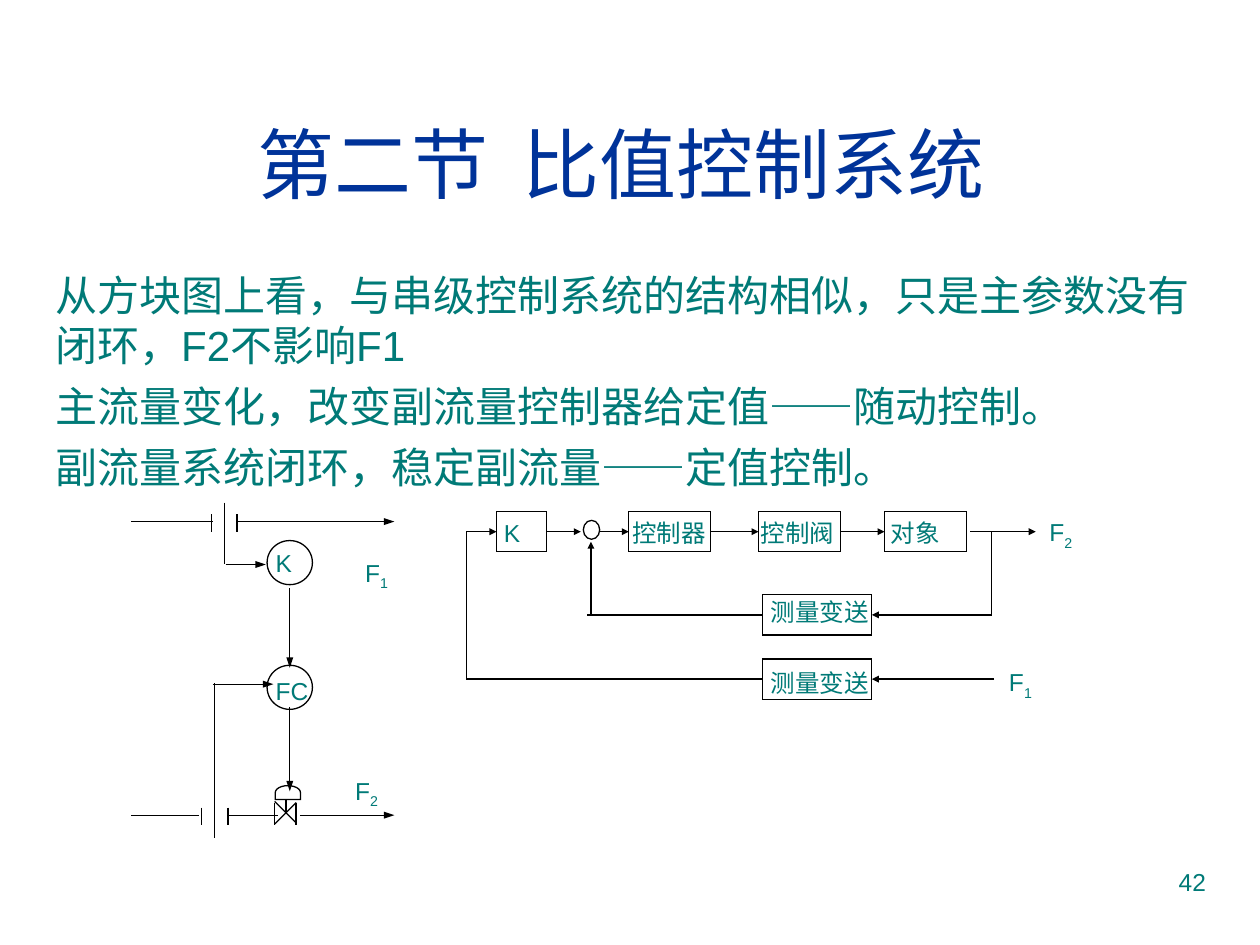
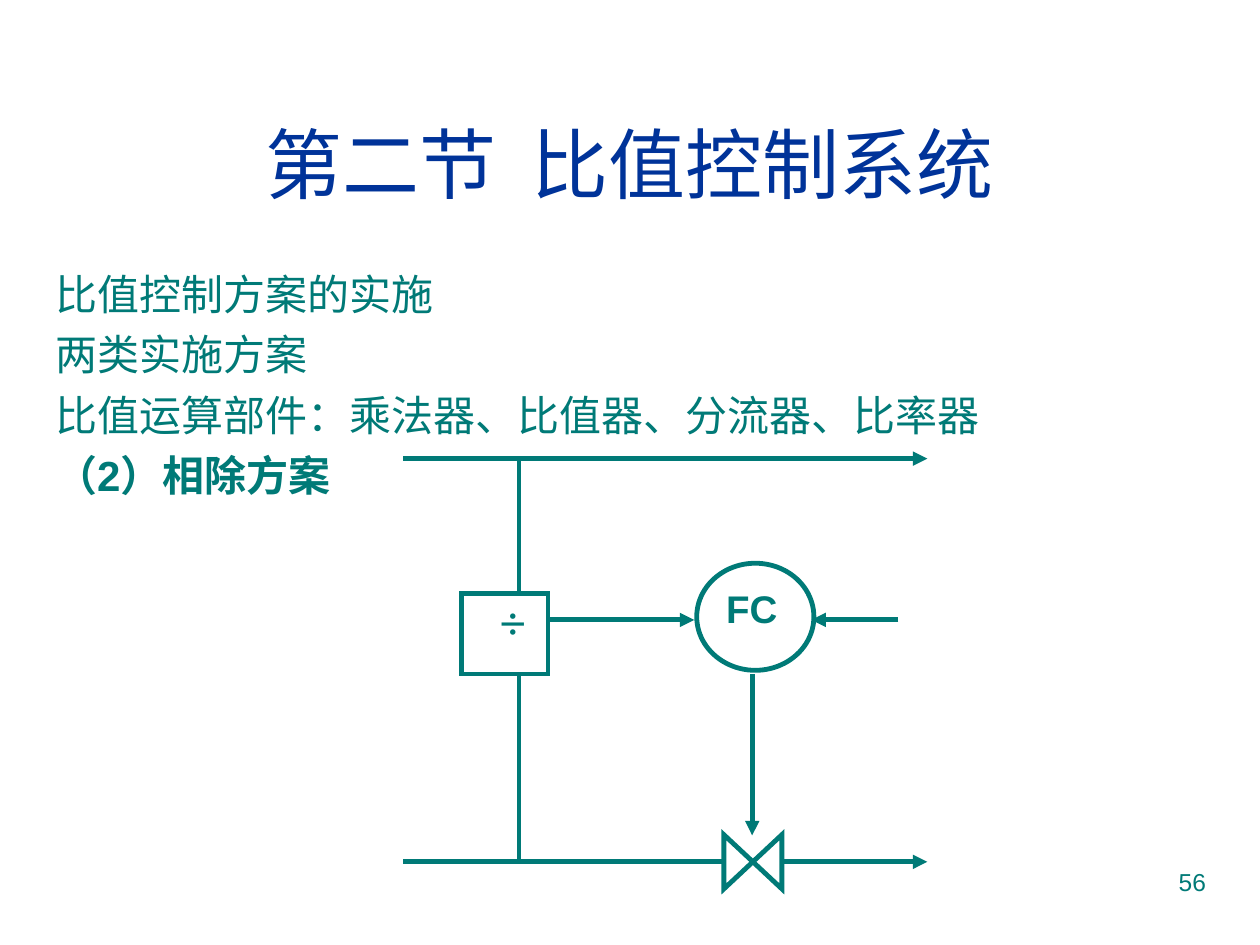
from lxml.etree import SubElement
from pptx import Presentation
from pptx.dml.color import RGBColor
from pptx.enum.shapes import MSO_CONNECTOR, MSO_SHAPE
from pptx.enum.text import MSO_ANCHOR, PP_ALIGN
from pptx.oxml.ns import qn
from pptx.util import Inches, Pt

TEAL, NAVY, BLACK, WHITE = "007A77", "003399", "000000", "FFFFFF"
LATIN, CJK = "Arial", "Noto Sans CJK SC"
BOX_H = 0.32
BLOCK_DIAGRAM_LEFT = 3.5


def color(fmt, value):
    fmt.rgb = RGBColor.from_string(value)


def write(tf, lines, size, hue=TEAL, align=PP_ALIGN.LEFT, bold=(), font=LATIN, pitch=1.2):
    tf.word_wrap = True
    for i, line in enumerate(lines):
        p = tf.add_paragraph() if i else tf.paragraphs[0]
        p.alignment = align
        p.space_before = Pt(5.8 if i else 0)
        if pitch:
            p.line_spacing = Pt(round(size * pitch, 1))
        for j, part in enumerate(line.split("_")):
            r = p.add_run()
            r.text = part
            r.font.name, r.font.size, r.font.bold = font, Pt(size), i in bold
            color(r.font.color, hue)
            rPr = r._r.get_or_add_rPr()
            SubElement(rPr, qn("a:ea")).set("typeface", CJK)
            if j:
                rPr.set("baseline", "-25000")


ratio_loop = {
    "number": "42",
    "title": "第二节  比值控制系统 ",
    "body_top": 2.09,
    "body": ["从方块图上看，与串级控制系统的结构相似，只是主参数没有闭环，F2不影响F1",
             "主流量变化，改变副流量控制器给定值——随动控制。",
             "副流量系统闭环，稳定副流量——定值控制。"],
    "bold": (),
    "line": (BLACK, 0.75),
    "head_width": "sm",
    "pipes": [
        (1.04, 4.14, 1.69, 4.14, False), (1.88, 4.14, 3.13, 4.14, True),
        (1.68, 4.08, 1.68, 4.22, False), (1.88, 4.08, 1.88, 4.22, False),
        (1.04, 6.47, 1.58, 6.47, False), (2.38, 6.47, 3.13, 6.47, True),
        (1.6, 6.41, 1.6, 6.55, False), (1.81, 6.41, 1.81, 6.55, False),
        (1.81, 6.47, 2.21, 6.47, False),
        (2.18, 6.37, 2.18, 6.55, False), (2.35, 6.37, 2.35, 6.55, False),
        (2.18, 6.36, 2.35, 6.53, False), (2.35, 6.37, 2.18, 6.54, False),
        (2.27, 6.46, 2.27, 6.29, False),
    ],
    "shapes": {
        "K circle": (MSO_SHAPE.OVAL, 2.12, 4.29, 0.36, 0.35, 0, WHITE),
        "FC circle": (MSO_SHAPE.OVAL, 2.12, 5.28, 0.36, 0.35, 0, WHITE),
        "valve head": (MSO_SHAPE.FLOWCHART_DELAY, 2.23, 6.19, 0.11, 0.2, 270, WHITE),
        "comparator": (MSO_SHAPE.OVAL, 4.63, 4.13, 0.13, 0.15, 0, WHITE),
        "K": (MSO_SHAPE.RECTANGLE, 3.94, 4.06, 0.4, BOX_H, 0, WHITE),
        "controller": (MSO_SHAPE.RECTANGLE, 4.99, 4.06, 0.65, BOX_H, 0, WHITE),
        "control valve": (MSO_SHAPE.RECTANGLE, 6.02, 4.06, 0.65, BOX_H, 0, WHITE),
        "process": (MSO_SHAPE.RECTANGLE, 7.02, 4.06, 0.65, BOX_H, 0, WHITE),
        "F2 transmitter": (MSO_SHAPE.RECTANGLE, 6.05, 4.72, 0.87, BOX_H, 0, WHITE),
        "F1 transmitter": (MSO_SHAPE.RECTANGLE, 6.05, 5.23, 0.87, BOX_H, 0, WHITE),
    },
    "signals": [
        (1.78, 3.99, 1.78, 4.48, False), (1.79, 4.48, 2.11, 4.48, True),
        (2.3, 4.67, 2.3, 5.3, True), (2.3, 5.61, 2.3, 6.28, True),
        (1.7, 5.42, 1.7, 6.65, False), (1.69, 5.43, 2.17, 5.43, True),
        (3.7, 4.22, 3.94, 4.22, True, None, ("K", 1)),
        (4.34, 4.22, 4.61, 4.22, True, ("K", 3)),
        (4.76, 4.22, 4.99, 4.22, True, None, ("controller", 1)),
        (5.64, 4.22, 6.02, 4.22, True, ("controller", 3), ("control valve", 1)),
        (6.67, 4.22, 7.02, 4.22, True, ("control valve", 3), ("process", 1)),
        (7.7, 4.22, 8.22, 4.22, True),
        (7.87, 4.22, 7.87, 4.88, False),
        (7.87, 4.88, 6.92, 4.88, True, None, ("F2 transmitter", 3)),
        (6.05, 4.88, 4.66, 4.88, False, ("F2 transmitter", 1)),
        (4.69, 4.88, 4.69, 4.3, True),
        (7.89, 5.39, 6.92, 5.39, True, None, ("F1 transmitter", 3)),
        (6.05, 5.39, 3.7, 5.39, False, ("F1 transmitter", 1)),
        (3.7, 5.39, 3.7, 4.22, False),
    ],
    "labels": [
        ("F_1", 2.8, 4.41, 0.47), ("F_2", 2.72, 6.14, 0.47),
        ("K", 2.09, 4.3, 0.47), ("FC", 2.09, 5.32, 0.47),
        ("K", 3.9, 4.06, 0.47), ("控制器", 4.92, 4.06, 0.87),
        ("控制阀", 5.94, 4.06, 0.87), ("对象", 6.97, 4.06, 0.87),
        ("测量变送", 6.02, 4.69, 1.02), ("测量变送", 6.02, 5.25, 1.02),
        ("F_1", 7.91, 5.28, 0.47), ("F_2", 8.23, 4.09, 0.47),
    ],
}

division_scheme = {
    "number": "56",
    "title": "第二节  比值控制系统",
    "body_top": 2.08,
    "body": ["比值控制方案的实施", "两类实施方案",
             "比值运算部件：乘法器、比值器、分流器、比率器", "（2）相除方案"],
    "bold": (3,),
    "line": (TEAL, 2.75),
    "head_width": "med",
    "pipes": [(3.2, y, 7.36, y, True) for y in (3.64, 6.84)],
    "shapes": {
        "divider": (MSO_SHAPE.RECTANGLE, 3.66, 4.71, 0.69, 0.64, 0, None),
        "FC": (MSO_SHAPE.OVAL, 5.53, 4.47, 0.93, 0.85, 0, None),
        "valve": (MSO_SHAPE.FLOWCHART_COLLATE, 5.76, 6.61, 0.43, 0.46, 90, WHITE),
    },
    "signals": [
        (4.12, 3.64, 4.12, 4.71, False), (4.12, 6.84, 4.12, 5.35, False),
        (5.97, 5.35, 5.97, 6.63, True), (4.35, 4.92, 5.51, 4.92, True),
        (7.13, 4.92, 6.44, 4.92, True),
    ],
    "labels": [],
}

prs = Presentation()
prs.slide_width, prs.slide_height = Inches(10), Inches(7.5)

for page in (ratio_loop, division_scheme):
    s = prs.slides.add_slide(prs.slide_layouts[5])
    hue, width = page["line"]

    title = s.shapes.title
    title.left, title.top, title.width, title.height = map(Inches, (0.33, 0.67, 9.34, 1.25))
    title.text_frame.vertical_anchor = MSO_ANCHOR.MIDDLE
    write(title.text_frame, [page["title"]], 44, NAVY, PP_ALIGN.CENTER, pitch=None)

    body = s.shapes.add_textbox(*map(Inches, (0.34, page["body_top"], 9.34, 2.05)))
    write(body.text_frame, page["body"], 24, bold=page["bold"])

    number = s.shapes.add_textbox(*map(Inches, (7.17, 6.83, 2.5, 0.52)))
    write(number.text_frame, [page["number"]], 14, align=PP_ALIGN.RIGHT)

    shapes = {}
    for group in ("pipes", "shapes", "signals"):
        if group == "shapes":
            for name, (kind, x, y, w, h, turn, fill) in page["shapes"].items():
                sp = s.shapes.add_shape(kind, *map(Inches, (x, y, w, h)))
                sp.rotation, sp.shadow.inherit = turn, False
                if fill:
                    sp.fill.solid()
                    color(sp.fill.fore_color, fill)
                else:
                    sp.fill.background()
                color(sp.line.color, hue)
                sp.line.width = Pt(width)
                SubElement(sp.line._get_or_add_ln(), qn("a:miter")).set("lim", "800000")
                shapes[name] = sp
            continue
        for x1, y1, x2, y2, arrow, *joins in page[group]:
            c = s.shapes.add_connector(MSO_CONNECTOR.STRAIGHT, *map(Inches, (x1, y1, x2, y2)))
            color(c.line.color, hue)
            c.line.width = Pt(width)
            if arrow:
                head = SubElement(c.line._get_or_add_ln(), qn("a:tailEnd"))
                head.set("type", "triangle")
                head.set("w", page["head_width"])
                head.set("len", page["head_width"] if x1 > BLOCK_DIAGRAM_LEFT else "med")
            SubElement(c._element.spPr, qn("a:effectLst"))
            for join, connect in zip(joins, (c.begin_connect, c.end_connect)):
                if join:
                    connect(shapes[join[0]], join[1])

    for text, x, y, w in page["labels"]:
        label = s.shapes.add_textbox(*map(Inches, (x, y, w, 0.34)))
        write(label.text_frame, [text], 14)

    if page is division_scheme:
        tf = shapes["FC"].text_frame
        tf.vertical_anchor = MSO_ANCHOR.TOP
        write(tf, ["FC"], 22, align=PP_ALIGN.JUSTIFY, bold=(0,))
        sign = s.shapes.add_textbox(*map(Inches, (3.85, 4.75, 0.5, 0.4)))
        write(sign.text_frame, ["÷"], 18, bold=(0,), font=CJK)

prs.save("out.pptx")
